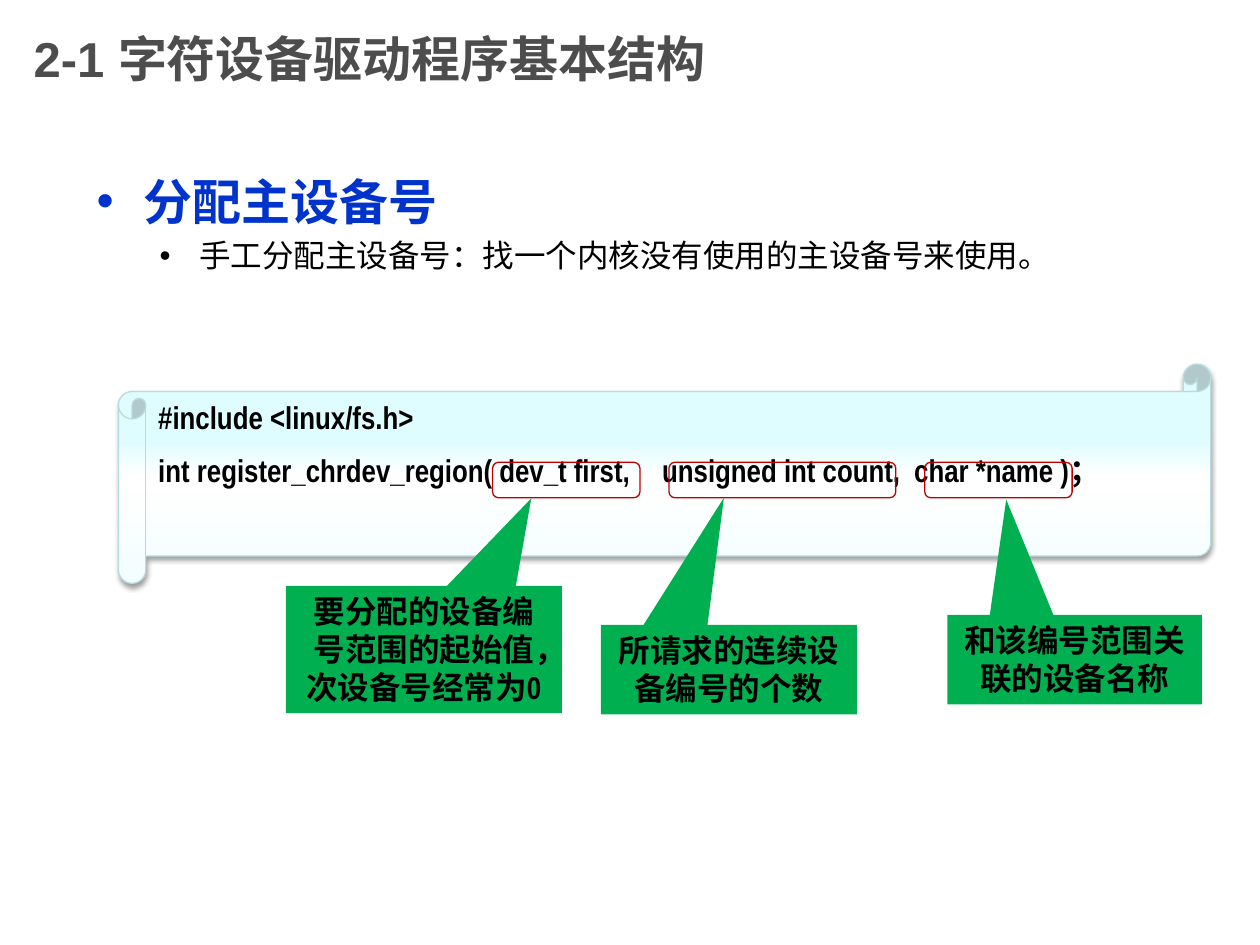
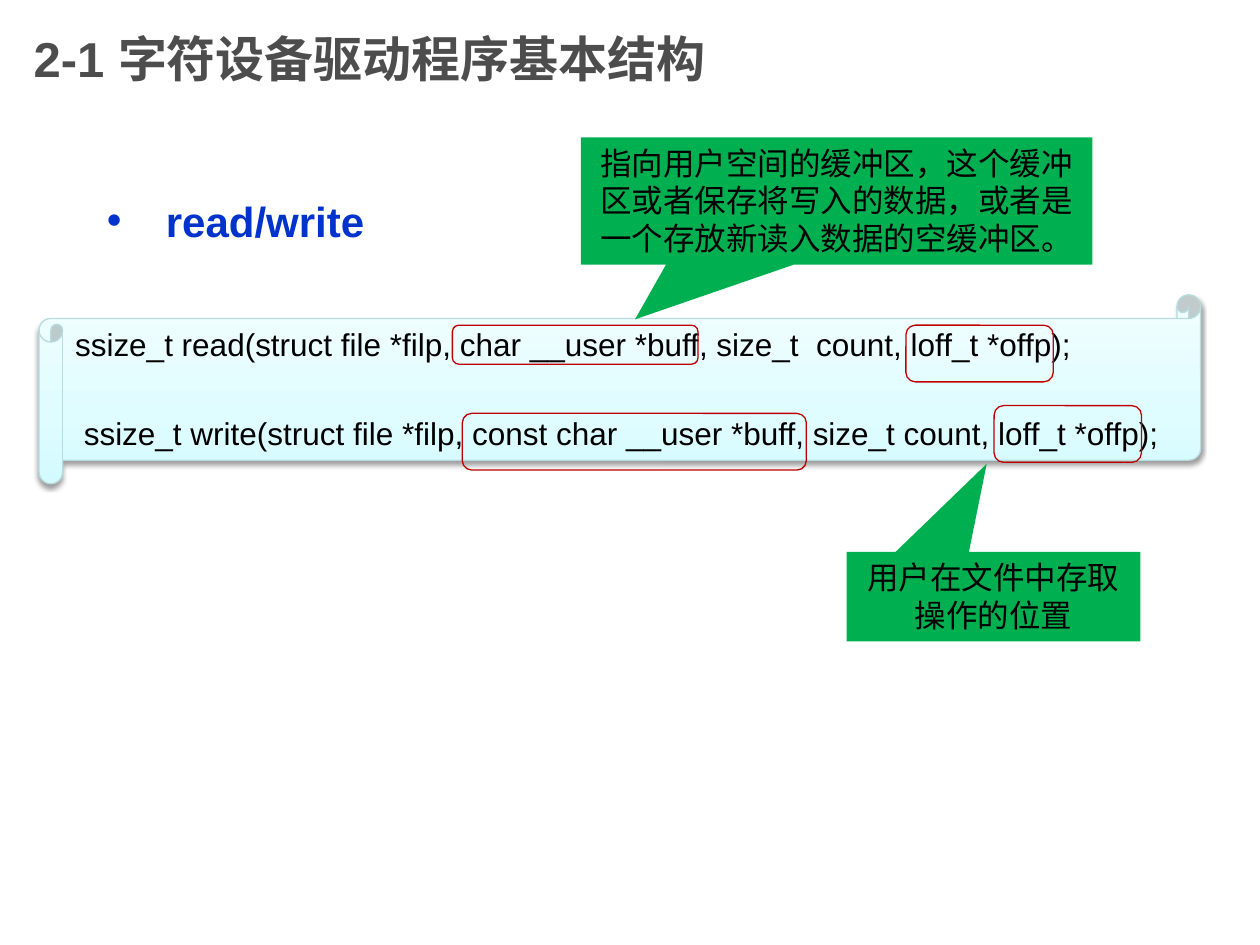
from lxml import etree
from pptx import Presentation
from pptx.dml.color import RGBColor
from pptx.enum.shapes import MSO_SHAPE
from pptx.enum.text import MSO_ANCHOR, PP_ALIGN
from pptx.oxml import parse_xml
from pptx.oxml.ns import nsdecls, qn
from pptx.util import Pt

SCROLL, CALLOUT, ROUNDED = (MSO_SHAPE.HORIZONTAL_SCROLL,
                            MSO_SHAPE.RECTANGULAR_CALLOUT,
                            MSO_SHAPE.ROUNDED_RECTANGLE)
TOP, MIDDLE = MSO_ANCHOR.TOP, MSO_ANCHOR.MIDDLE
LEFT, CENTER = PP_ALIGN.LEFT, PP_ALIGN.CENTER

BLACK = RGBColor(0x00, 0x00, 0x00)
GRAY = RGBColor(0x4D, 0x4D, 0x4D)
BLUE = RGBColor(0x00, 0x33, 0xCC)
GREEN = RGBColor(0x00, 0xB0, 0x50)
RED = RGBColor(0xC0, 0x00, 0x00)
SCROLL_EDGE = RGBColor(0xB6, 0xDC, 0xDF)
AQUA = RGBColor(0xD3, 0xFB, 0xFF)
PALE_AQUA = RGBColor(0xDF, 0xFC, 0xFF)
ICE = RGBColor(0xF2, 0xFE, 0xFF)
WHITE = RGBColor(0xFF, 0xFF, 0xFF)

# Content; every length is in points, every area is left, top, width, height
TITLE = "2-1 字符设备驱动程序基本结构"
TITLE_AREA = (12.2, 0, 540, 66.2)
TEXT_SIZE = 18

SLIDES = [
    {
        "font": "Arial Narrow", "bold": True,
        "body_area": (48.2, 94.3, 671.8, 372),
        # text, size, colour, bold, left margin, hanging indent, space before
        "bullets": [
            ("分配主设备号", 28, BLUE, True, 27, 27, 0),
            ("手工分配主设备号：找一个内核没有使用的主设备号来使用。",
             18, BLACK, False, 58.5, 22.5, 3.6),
        ],
        "scroll_area": (67.7, 208.1, 624.2, 125.3),
        "gradient": (90, [(35, PALE_AQUA), (51, WHITE), (100, ICE)]),
        # text, left margin, space before, tab stops
        "code": [
            ("#include <linux/fs.h>", 0, 0, ()),
            ("int register_chrdev_region( dev_t first,\tunsigned int count,"
             "\tchar *name )；", 0, 9, (290.3, 442.3)),
        ],
        "frames": [
            (281.5, 264.2, 84.2, 20.2),
            (382.3, 264.2, 129.6, 20.2),
            (528.5, 264.2, 84.2, 20.2),
        ],
        # text, area, tip
        "callouts": [
            ("要分配的设备编号范围的起始值，次设备号经常为0",
             (163.4, 334.8, 157.7, 72.7), (303.6, 284.8)),
            ("所请求的连续设备编号的个数",
             (343.4, 357.1, 146.2, 51.1), (413.7, 284.4)),
            ("和该编号范围关联的设备名称",
             (541.4, 351.4, 145.4, 51.1), (575, 285.4)),
        ],
    },
    {
        "font": "Arial", "bold": False,
        "body_area": (54, 108, 612, 372),
        "bullets": [("read/write", 24, BLUE, True, 33.7, 33.7, 0)],
        "scroll_area": (22.3, 168.5, 663.8, 108),
        "gradient": (270, [(0, AQUA), (35, PALE_AQUA), (100, ICE)]),
        "code": [
            ("ssize_t read(struct file *filp, char __user *buff, "
             "size_t  count, loff_t *offp);", 0, 0, ()),
            ("ssize_t write(struct file *filp, const char __user *buff, "
             "size_t count, loff_t *offp);", 5, 29.6, ()),
        ],
        "frames": [
            (258.5, 185.8, 140.4, 22.3),
            (264.2, 236.2, 196.6, 32.4),
            (568.1, 231.8, 84.2, 32.4),
            (517.7, 185.8, 84.2, 32.4),
        ],
        "callouts": [
            ("指向用户空间的缓冲区，这个缓冲区或者保存将写入的数据，"
             "或者是一个存放新读入数据的空缓冲区。",
             (331.9, 78.5, 292.3, 72.7), (362.9, 182.5)),
            ("用户在文件中存取操作的位置",
             (483.8, 315.4, 167.8, 51.1), (563.9, 265)),
        ],
    },
]


def points(area):
    return [Pt(length) for length in area]


def add_shape(slide, kind, area, line=None):
    shape = slide.shapes.add_shape(kind, *points(area))
    shape.shadow.inherit = False
    shape.fill.background()
    if line is None:
        shape.line.fill.background()
    else:
        shape.line.color.rgb = line
        shape.line.width = Pt(0.75)
    return shape


def add_text_box(slide, area):
    return slide.shapes.add_textbox(*points(area))


def add_paragraph(box, text, size, font, color, bold, align=LEFT,
                  margin=0, indent=0, before=0, anchor=TOP):
    frame = box.text_frame
    frame.word_wrap = True
    frame.vertical_anchor = anchor
    para = frame.add_paragraph() if frame.text else frame.paragraphs[0]
    para.text = text
    para.alignment = align
    para.space_before = Pt(before)
    for span in para.runs:
        span.font.size = Pt(size)
        span.font.name = font
        span.font.bold = bold
        span.font.color.rgb = color
    properties = para._p.get_or_add_pPr()
    properties.set("marL", str(Pt(margin)))
    properties.set("indent", str(-Pt(indent)))
    return properties


def add_bullet(properties):
    etree.SubElement(properties, qn("a:buFont"), typeface="Arial")
    etree.SubElement(properties, qn("a:buChar"), char="•")


def add_tab_stops(properties, stops):
    tabs = etree.SubElement(properties, qn("a:tabLst"))
    for stop in stops:
        etree.SubElement(tabs, qn("a:tab"), pos=str(Pt(stop)), algn="l")


def set_gradient(shape, angle, stops):
    shape.fill.gradient()
    gradient = shape._element.spPr.find(qn("a:gradFill"))
    marks = "".join(
        f'<a:gs pos="{place * 1000}"><a:srgbClr val="{color}"/></a:gs>'
        for place, color in stops)
    gradient.getparent().replace(gradient, parse_xml(
        f'<a:gradFill {nsdecls("a")} rotWithShape="1"><a:gsLst>{marks}</a:gsLst>'
        f'<a:lin ang="{angle * 60000}" scaled="0"/></a:gradFill>'))


def set_shadow(shape):
    effects = shape._element.spPr.find(qn("a:effectLst"))
    effects.append(parse_xml(
        f'<a:outerShdw {nsdecls("a")} blurRad="{Pt(3.1)}" dist="{Pt(1.6)}" '
        'dir="5400000" rotWithShape="0"><a:srgbClr val="000000">'
        '<a:alpha val="38000"/></a:srgbClr></a:outerShdw>'))


def add_callout(slide, text, area, tip, font, bold):
    callout = add_shape(slide, CALLOUT, area)
    callout.fill.solid()
    callout.fill.fore_color.rgb = GREEN
    # The tip is measured from the centre, as a share of the size
    left, top, width, height = area
    callout.adjustments[0] = (tip[0] - left) / width - 0.5
    callout.adjustments[1] = (tip[1] - top) / height - 0.5
    add_paragraph(callout, text, TEXT_SIZE, font, BLACK, bold, align=CENTER)


def build_slide(deck, content):
    slide = deck.slides.add_slide(deck.slide_layouts[6])
    font, bold = content["font"], content["bold"]

    # Title and bullets
    title = add_text_box(slide, TITLE_AREA)
    add_paragraph(title, TITLE, 28, "Arial", GRAY, True, anchor=MIDDLE)
    body = add_text_box(slide, content["body_area"])
    for text, size, color, strong, margin, indent, before in content["bullets"]:
        add_bullet(add_paragraph(body, text, size, font, color, strong,
                                 margin=margin, indent=indent, before=before))

    # Scroll with the function prototypes
    scroll = add_shape(slide, SCROLL, content["scroll_area"], SCROLL_EDGE)
    set_gradient(scroll, *content["gradient"])
    set_shadow(scroll)
    for text, margin, before, stops in content["code"]:
        properties = add_paragraph(scroll, text, TEXT_SIZE, font, BLACK, bold,
                                   margin=margin, before=before)
        if stops:
            add_tab_stops(properties, stops)

    # Parameter frames and their explanations
    for area in content["frames"]:
        add_shape(slide, ROUNDED, area, RED)
    for text, area, tip in content["callouts"]:
        add_callout(slide, text, area, tip, font, bold)


def main():
    deck = Presentation()
    deck.slide_width, deck.slide_height = Pt(720), Pt(540)
    for content in SLIDES:
        build_slide(deck, content)
    deck.save("out.pptx")


if __name__ == "__main__":
    main()
